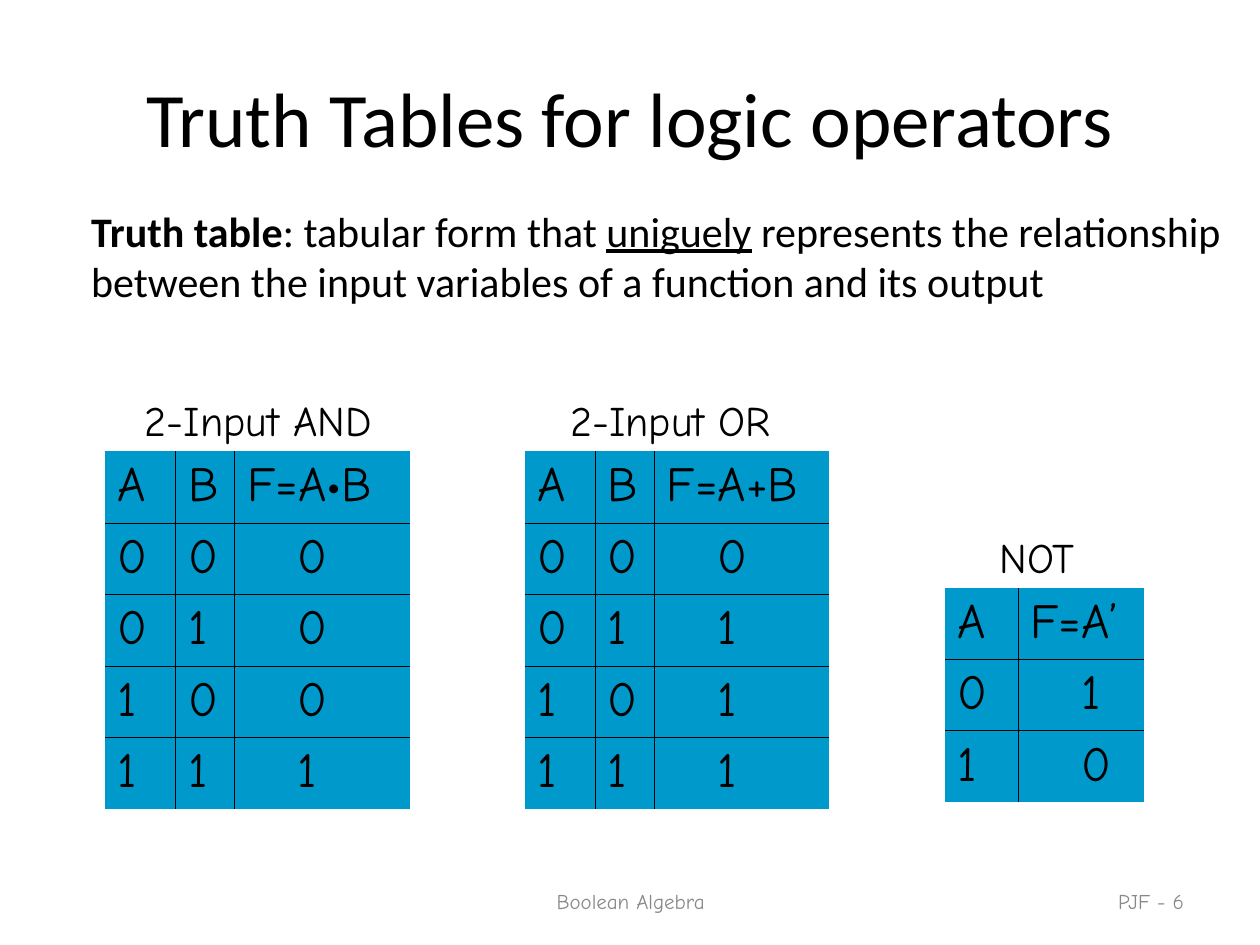
from dataclasses import dataclass

from lxml import etree
from pptx import Presentation
from pptx.dml.color import RGBColor
from pptx.enum.text import MSO_ANCHOR, PP_ALIGN
from pptx.oxml.ns import qn
from pptx.util import Cm, Pt

LEFT, CENTER, RIGHT = PP_ALIGN.LEFT, PP_ALIGN.CENTER, PP_ALIGN.RIGHT
TOP, MIDDLE = MSO_ANCHOR.TOP, MSO_ANCHOR.MIDDLE

BLACK = RGBColor(0x00, 0x00, 0x00)
GRAY = RGBColor(0x89, 0x89, 0x89)
BLUE = RGBColor(0x00, 0x99, 0xCC)

TEXT_FONT = "Calibri"
TABLE_FONT = "Comic Neue"

ROW_HEIGHT = 1.44
CAPTION_HEIGHT = 1.27
OUTPUT_INDENT = 1.02
BORDER_WIDTH = Pt(0.45)


@dataclass(frozen=True)
class Label:
    text: str
    left: float
    top: float
    width: float
    height: float
    size: int
    color: RGBColor = BLACK
    alignment: PP_ALIGN = LEFT
    anchor: MSO_ANCHOR = TOP
    wrap: bool = True


@dataclass(frozen=True)
class TruthTable:
    caption: str
    caption_left: float
    caption_width: float
    left: float
    top: float
    column_widths: tuple[float, ...]
    rows: tuple[str, ...]


TWO_INPUT_WIDTHS = (1.42, 1.19, 3.53)

TRUTH_TABLES = (
    TruthTable("2-Input AND", 2.67, 5.08, 2.12, 9.1, TWO_INPUT_WIDTHS,
               ("A B F=A•B", "0 0 0", "0 1 0", "1 0 0", "1 1 1")),
    TruthTable("2-Input OR", 11.25, 4.55, 10.58, 9.1, TWO_INPUT_WIDTHS,
               ("A B F=A+B", "0 0 0", "0 1 1", "1 0 1", "1 1 1")),
    TruthTable("NOT", 19.9, 2.06, 19.05, 11.85, (1.47, 2.54),
               ("A F=A’", "0 1", "1 0")),
)

FOOTERS = (
    Label("Boolean Algebra", 8.69, 17.65, 8.05, 1.02, 12, GRAY, CENTER, MIDDLE),
    Label("PJF - 6", 18.2, 17.65, 5.92, 1.02, 12, GRAY, RIGHT, MIDDLE),
)


def format_font(font, name: str, size: int, color: RGBColor) -> None:
    font.name = name
    font.size = Pt(size)
    font.color.rgb = color


def add_label(slide, label: Label) -> None:
    shape = slide.shapes.add_textbox(
        Cm(label.left), Cm(label.top), Cm(label.width), Cm(label.height))
    text_frame = shape.text_frame
    text_frame.word_wrap = label.wrap
    text_frame.vertical_anchor = label.anchor
    text_frame.text = label.text
    paragraph = text_frame.paragraphs[0]
    paragraph.alignment = label.alignment
    format_font(paragraph.runs[0].font, TABLE_FONT, label.size, label.color)


def add_border(cell, side: str, visible: bool) -> None:
    line = etree.SubElement(cell._tc.get_or_add_tcPr(), qn(f"a:ln{side}"))
    line.set("w", str(BORDER_WIDTH))
    if visible:
        fill = etree.SubElement(line, qn("a:solidFill"))
        etree.SubElement(fill, qn("a:srgbClr")).set("val", str(BLACK))
    else:
        etree.SubElement(line, qn("a:noFill"))


def add_truth_table(slide, truth_table: TruthTable) -> None:
    widths = truth_table.column_widths
    last_row, last_column = len(truth_table.rows) - 1, len(widths) - 1
    table = slide.shapes.add_table(
        last_row + 1, last_column + 1, Cm(truth_table.left), Cm(truth_table.top),
        Cm(sum(widths)), Cm(ROW_HEIGHT * (last_row + 1))).table
    table.first_row = False
    table.horz_banding = False
    for column, width in zip(table.columns, widths):
        column.width = Cm(width)
    for row_index, row_text in enumerate(truth_table.rows):
        table.rows[row_index].height = Cm(ROW_HEIGHT)
        for column_index, value in enumerate(row_text.split()):
            cell = table.cell(row_index, column_index)
            cell.text = value
            paragraph = cell.text_frame.paragraphs[0]
            if row_index > 0 and column_index == last_column:
                paragraph._p.get_or_add_pPr().set("marL", str(Cm(OUTPUT_INDENT)))
            format_font(paragraph.runs[0].font, TABLE_FONT, 28, BLACK)
            add_border(cell, "L", column_index > 0)
            add_border(cell, "R", column_index < last_column)
            add_border(cell, "T", row_index > 0)
            add_border(cell, "B", row_index < last_row)
            cell.fill.solid()
            cell.fill.fore_color.rgb = BLUE
    add_label(slide, Label(
        truth_table.caption, truth_table.caption_left,
        truth_table.top - CAPTION_HEIGHT, truth_table.caption_width,
        CAPTION_HEIGHT, 24, wrap=False))


def add_title(slide) -> None:
    title = slide.shapes.title
    title.left, title.top = Cm(0), Cm(0.76)
    title.width, title.height = Cm(25.4), Cm(3.18)
    title.text_frame.text = "Truth Tables for logic operators"
    title.text_frame.vertical_anchor = MIDDLE
    paragraph = title.text_frame.paragraphs[0]
    paragraph.alignment = CENTER
    format_font(paragraph.runs[0].font, TEXT_FONT, 44, BLACK)


def add_definition(slide) -> None:
    shape = slide.shapes.add_textbox(Cm(0.64), Cm(4.01), Cm(24.33), Cm(12.57))
    shape.text_frame.word_wrap = True
    paragraph = shape.text_frame.paragraphs[0]
    paragraph._p.get_or_add_pPr().set("marL", str(Cm(0.95)))
    for text, bold, underline in (
        ("Truth table", True, False),
        (": tabular form that ", False, False),
        ("uniguely", False, True),
        (" represents the relationship between the input variables "
         "of a function and its output", False, False),
    ):
        run = paragraph.add_run()
        run.text = text
        format_font(run.font, TEXT_FONT, 24, BLACK)
        run.font.bold = bold
        run.font.underline = underline


def main() -> None:
    presentation = Presentation()
    presentation.slide_width = Cm(25.4)
    presentation.slide_height = Cm(19.05)
    slide = presentation.slides.add_slide(presentation.slide_layouts[5])
    add_title(slide)
    add_definition(slide)
    for truth_table in TRUTH_TABLES:
        add_truth_table(slide, truth_table)
    for footer in FOOTERS:
        add_label(slide, footer)
    presentation.save("out.pptx")


if __name__ == "__main__":
    main()
